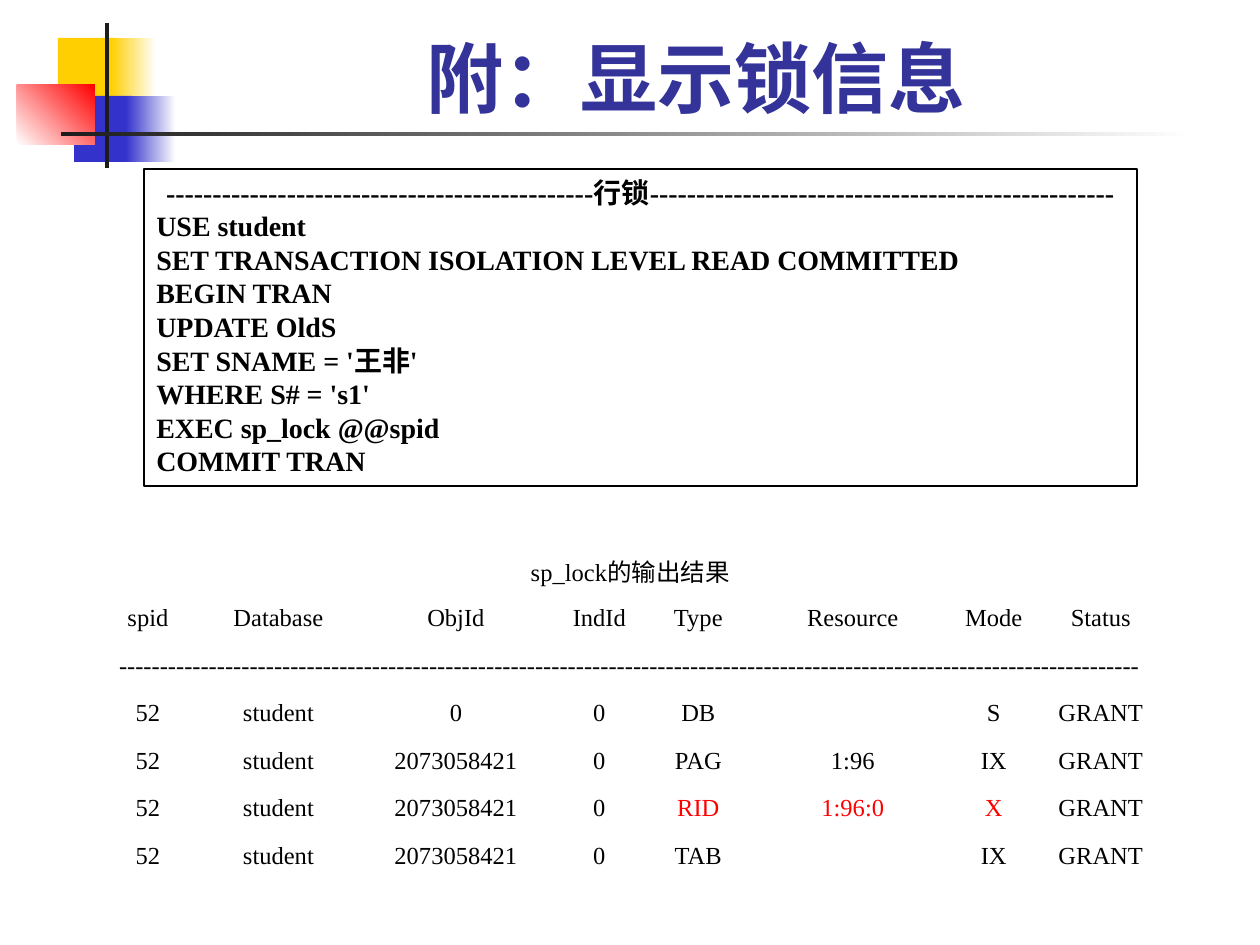
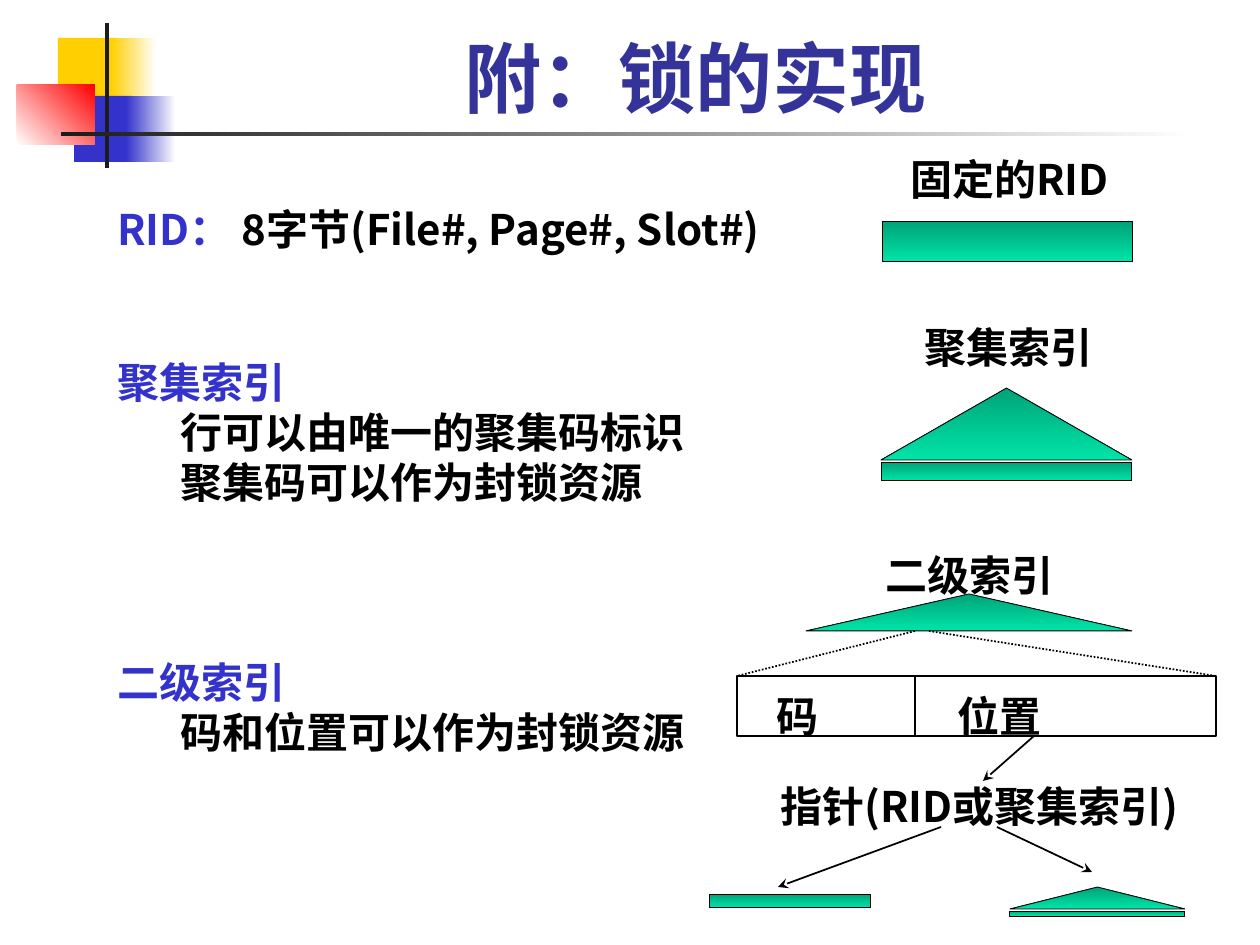
from pptx import Presentation
from pptx.dml.color import RGBColor
from pptx.enum.dml import MSO_LINE
from pptx.enum.shapes import MSO_CONNECTOR, MSO_SHAPE as SHAPE
from pptx.enum.text import MSO_ANCHOR as ANCHOR, PP_ALIGN as ALIGN
from pptx.oxml.ns import qn
from pptx.util import Pt
from lxml.etree import SubElement

SCALE = 914400 / 126
BLACK, WHITE, BLUE, RED = "000000", "FFFFFF", "3333CC", "FF0000"
YELLOW, DARK, TITLE = "FFCF01", "1C1C1C", "333399"
GREENS = ("00A378", "00E4A8", 90)
SERIF, SANS, HEAD = "Times New Roman", "Noto Sans CJK JP", "Karla"

CODE = [
    "-" * 46 + "行锁" + "-" * 50,
    "USE student",
    "SET TRANSACTION ISOLATION LEVEL READ COMMITTED",
    "BEGIN TRAN",
    "UPDATE OldS",
    "SET SNAME = '王非'",
    "WHERE S# = 's1'",
    "EXEC sp_lock @@spid",
    "COMMIT TRAN",
]
LOCK_COLS = [106, 155, 200, 87, 111, 198, 84, 130]
LOCK_ROWS = [
    ["sp_lock的输出结果"],
    ["spid", "Database", "ObjId", "IndId", "Type", "Resource", "Mode", "Status"],
    ["-" * 125],
    ["52", "student", "0", "0", "DB", "", "S", "GRANT"],
    ["52", "student", "2073058421", "0", "PAG", "1:96", "IX", "GRANT"],
    ["52", "student", "2073058421", "0", "RID", "1:96:0", "X", "GRANT"],
    ["52", "student", "2073058421", "0", "TAB", "", "IX", "GRANT"],
]
RED_CELLS = {"RID", "1:96:0", "X"}


def px(n):
    return round(n * SCALE)


def rgb(color):
    return RGBColor.from_string(color)


def style(p, size, font, color=BLACK, bold=True, align=ALIGN.LEFT):
    p.alignment = align
    p.font.size = Pt(size)
    p.font.name = font
    p.font.bold = bold
    p.font.color.rgb = rgb(color)


def paragraphs(tf, lines):
    for i, line in enumerate(lines):
        p = tf.paragraphs[0] if i == 0 else tf.add_paragraph()
        p.text = line
        yield p


def add_box(s, x, y, w, h, fill=None, line=None, width=0.5, kind=SHAPE.RECTANGLE):
    sp = s.shapes.add_shape(kind, px(x), px(y), px(w), px(h))
    sp.shadow.inherit = False
    if fill is None:
        sp.fill.background()
    elif isinstance(fill, str):
        sp.fill.solid()
        sp.fill.fore_color.rgb = rgb(fill)
    else:
        sp.fill.gradient()
        sp.fill.gradient_angle = (360 - fill[2]) % 360
        for stop, color in zip(sp.fill.gradient_stops, fill):
            stop.color.rgb = rgb(color)
    if line:
        sp.line.color.rgb = rgb(line)
        sp.line.width = Pt(width)
    else:
        sp.line.fill.background()
    return sp


def add_text(s, x, y, w, h, lines, wrap=True):
    tf = s.shapes.add_textbox(px(x), px(y), px(w), px(h)).text_frame
    tf.word_wrap = wrap
    return tf, list(paragraphs(tf, lines))


def add_label(s, x, y, w, text, font=SANS, wrap=False):
    _, (p,) = add_text(s, x, y, w, 63, [text], wrap)
    style(p, 24, font, align=ALIGN.CENTER)


def add_topic(s, y, heading, points):
    _, (head, *rest) = add_text(s, 105, y, 630, 63 + 50 * len(points), [heading, *points])
    style(head, 24, SERIF, BLUE)
    for p in rest:
        p.level = 1
        pPr = p._p.get_or_add_pPr()
        pPr.set("marL", str(px(63)))
        pPr.set("indent", "0")
        style(p, 24, SERIF)


def add_line(s, x1, y1, x2, y2, dotted=False, arrow=False):
    c = s.shapes.add_connector(MSO_CONNECTOR.STRAIGHT, px(x1), px(y1), px(x2), px(y2))
    c.line.color.rgb = rgb(BLACK)
    c.line.width = Pt(1)
    if dotted:
        c.line.dash_style = MSO_LINE.ROUND_DOT
    if arrow:
        SubElement(c.line._get_or_add_ln(), qn("a:tailEnd"), type="stealth")
    SubElement(c._element.spPr, qn("a:effectLst"))


def add_bar(s, x, y, w, h):
    add_box(s, x, y, w, h, GREENS, BLACK)


def add_tree(s, x, y, w, h):
    add_box(s, x, y, w, h, GREENS, BLACK, kind=SHAPE.ISOSCELES_TRIANGLE)


def add_lock_table(s):
    frame = s.shapes.add_table(len(LOCK_ROWS), len(LOCK_COLS),
                               px(95), px(547), px(sum(LOCK_COLS)), px(333))
    table = frame.table
    table.first_row = table.horz_banding = False
    for column, width in zip(table.columns, LOCK_COLS):
        column.width = px(width)
    for r, values in enumerate(LOCK_ROWS):
        if len(values) == 1:
            table.cell(r, 0).merge(table.cell(r, len(LOCK_COLS) - 1))
        for cell in table.rows[r].cells:
            cell.fill.background()
            cell.margin_top = cell.margin_bottom = 0
            cell.vertical_anchor = ANCHOR.MIDDLE
        for c, value in enumerate(values):
            p = table.cell(r, c).text_frame.paragraphs[0]
            if value:
                p.text = value
            color = RED if value in RED_CELLS else BLACK
            style(p, 14, SERIF, color, False, ALIGN.CENTER)


def add_slide(prs, title):
    s = prs.slides.add_slide(prs.slide_layouts[6])
    for x, y, w, h, fill in [
        (58, 38, 60, 66, YELLOW),
        (111, 38, 45, 66, (YELLOW, WHITE, 0)),
        (74, 96, 58, 66, BLUE),
        (126, 96, 50, 66, (BLUE, WHITE, 0)),
        (17, 85, 78, 60, (WHITE, RED, 315)),
        (105, 23, 4, 145, DARK),
        (61, 132, 1134, 4, (DARK, WHITE, 0)),
    ]:
        add_box(s, x, y, w, h, fill)
    tf, (p,) = add_text(s, 159, 23, 1074, 106, [title])
    tf.vertical_anchor = ANCHOR.BOTTOM
    style(p, 44, HEAD, TITLE, align=ALIGN.CENTER)
    return s


def lock_info_slide(prs):
    s = add_slide(prs, "附：显示锁信息")
    tf = add_box(s, 144, 169, 993, 317, WHITE, BLACK, 0.75).text_frame
    tf.word_wrap = True
    tf.vertical_anchor = ANCHOR.TOP
    for i, p in enumerate(paragraphs(tf, CODE)):
        style(p, 16, SERIF, align=ALIGN.JUSTIFY if i else ALIGN.CENTER)
    add_lock_table(s)


def lock_implementation_slide(prs):
    s = add_slide(prs, "附：锁的实现")
    _, (p,) = add_text(s, 105, 197, 753, 64, ["RID： "])
    p.runs[0].font.color.rgb = rgb(BLUE)
    p.add_run().text = "8字节(File#, Page#, Slot#)"
    style(p, 24, SANS)
    add_topic(s, 350, "聚集索引", ["行可以由唯一的聚集码标识", "聚集码可以作为封锁资源"])
    add_topic(s, 650, "二级索引", ["码和位置可以作为封锁资源"])

    add_bar(s, 882, 222, 251, 40)
    add_label(s, 882, 147, 255, "固定的RID", wrap=True)

    add_bar(s, 881, 462, 251, 19)
    add_tree(s, 881, 388, 251, 72)
    add_label(s, 912, 315, 193, "聚集索引", "Arial")

    add_tree(s, 806, 594, 326, 37)
    add_label(s, 873, 543, 193, "二级索引")
    add_box(s, 737, 676, 479, 60, line=BLACK, width=1)
    add_line(s, 915, 676, 915, 736)
    add_label(s, 764, 684, 67, "码")
    add_label(s, 945, 684, 110, "位置")
    add_line(s, 915, 631, 737, 676, dotted=True)
    add_line(s, 929, 631, 1216, 676, dotted=True)

    add_bar(s, 709, 894, 162, 14)
    add_bar(s, 1010, 911, 175, 5)
    add_tree(s, 1010, 887, 175, 22)
    add_label(s, 764, 774, 431, "指针(RID或聚集索引)", wrap=True)
    for ends in [(1034, 736, 983, 781), (941, 827, 778, 887), (997, 827, 1092, 872)]:
        add_line(s, *ends, arrow=True)


def main():
    prs = Presentation()
    prs.slide_width, prs.slide_height = px(1260), px(945)
    lock_info_slide(prs)
    lock_implementation_slide(prs)
    prs.save("out.pptx")


if __name__ == "__main__":
    main()
